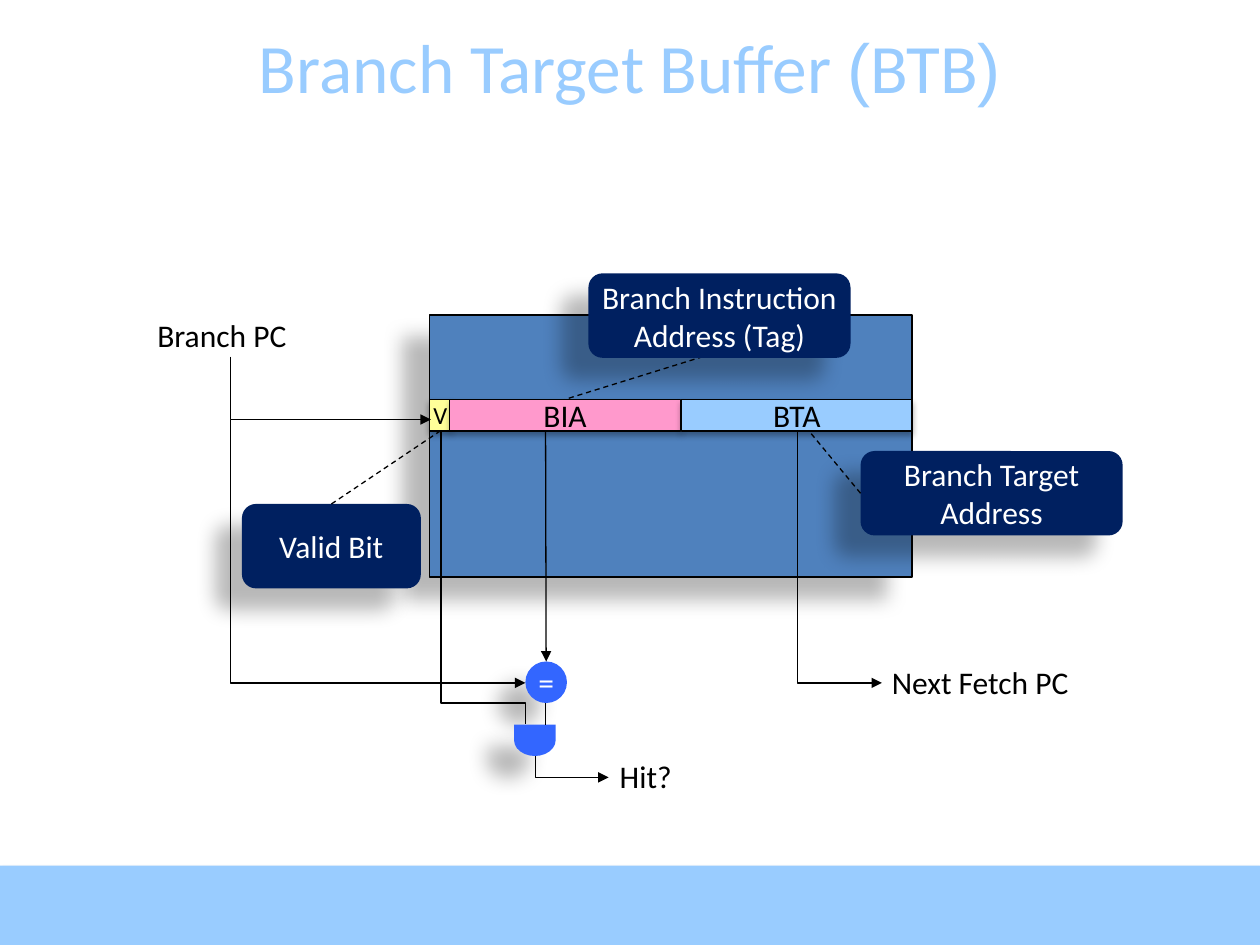
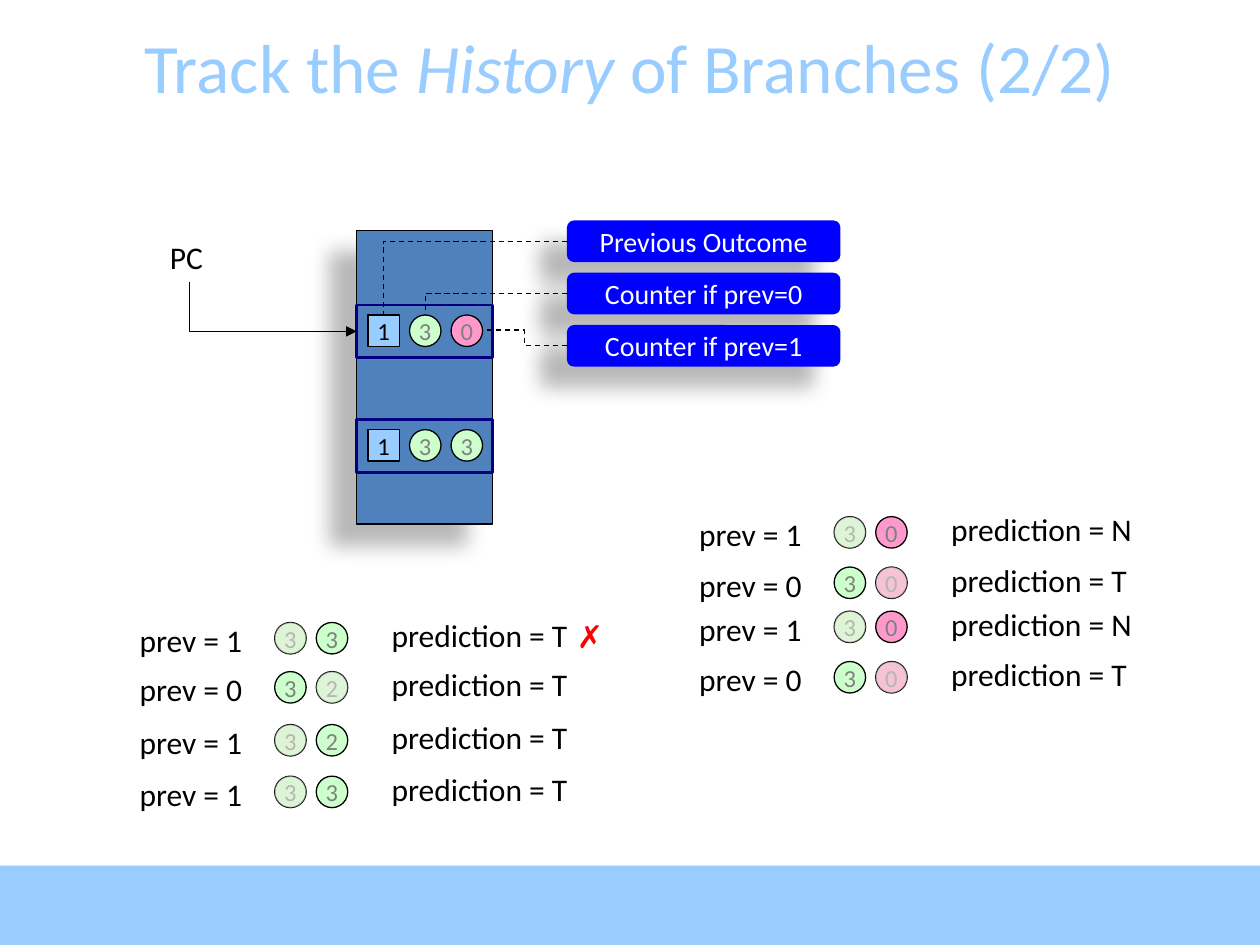
import pptx
import pptx.dml.color
import pptx.enum.dml
import pptx.enum.shapes
import pptx.enum.text
import pptx.oxml
import pptx.oxml.ns
import pptx.util

Inches = pptx.util.Inches
Pt = pptx.util.Pt
RGBColor = pptx.dml.color.RGBColor
SHAPE = pptx.enum.shapes.MSO_SHAPE
CONNECTOR = pptx.enum.shapes.MSO_CONNECTOR
ALIGN = pptx.enum.text.PP_ALIGN
ANCHOR = pptx.enum.text.MSO_ANCHOR
qn = pptx.oxml.ns.qn

BLACK = RGBColor(0x00, 0x00, 0x00)
WHITE = RGBColor(0xFF, 0xFF, 0xFF)
GRAY = RGBColor(0x80, 0x80, 0x80)
RED = RGBColor(0xFF, 0x00, 0x00)
SKY = RGBColor(0x99, 0xCC, 0xFF)
STEEL = RGBColor(0x4F, 0x81, 0xBD)
YELLOW = RGBColor(0xFF, 0xFF, 0x99)
PINK = RGBColor(0xFF, 0x99, 0xCC)
GREEN = RGBColor(0xCC, 0xFF, 0xCC)
NAVY = RGBColor(0x00, 0x20, 0x60)
FRAME_BLUE = RGBColor(0x00, 0x00, 0x80)
LABEL_BLUE = RGBColor(0x00, 0x00, 0xFF)
GATE_BLUE = RGBColor(0x33, 0x66, 0xFF)
VEIL = RGBColor(0xEE, 0xEC, 0xE1)

FONT = "Calibri"
DEEP_SHADOW = (28, 11.8, 19.7, 141)
FIELD_SHADOW = (32, 3.5, 2.2, 90)
BAND_SHADOW = (35, 3.1, 1.8, 90)
TOP, LEFT, BOTTOM = 0, 1, 2


def add_xml(parent, xml):
    ns = pptx.oxml.ns.nsdecls("a")
    tag, rest = xml.split(" ", 1) if " " in xml else (xml, "/>")
    parent.append(pptx.oxml.parse_xml(f"{tag} {ns} {rest}"))


def add_shadow(sp, shadow):
    alpha, blur, dist, angle = shadow
    effects = sp._element.spPr.find(qn("a:effectLst"))
    add_xml(effects, f'<a:outerShdw blurRad="{Pt(blur)}" dist="{Pt(dist)}" '
                     f'dir="{angle * 60000}" rotWithShape="0"><a:srgbClr val="000000">'
                     f'<a:alpha val="{alpha * 1000}"/></a:srgbClr></a:outerShdw>')


def format_run(r, size, color, name=FONT):
    r.font.size = Pt(size)
    r.font.name = name
    r.font.color.rgb = color


def write(sp, text, size, color, align):
    tf = sp.text_frame
    tf.text = text
    tf.word_wrap = False
    for p in tf.paragraphs:
        p.alignment = align
        for r in p.runs:
            format_run(r, size, color)


def add_box(s, kind, x, y, w, h, fill=None, line=BLACK, weight=0.75, shadow=None,
            text="", size=18, color=BLACK):
    sp = s.shapes.add_shape(kind, Inches(x), Inches(y), Inches(w), Inches(h))
    sp.shadow.inherit = False
    if fill is None:
        sp.fill.background()
    else:
        sp.fill.solid()
        sp.fill.fore_color.rgb = fill
    if line is None:
        sp.line.fill.background()
    else:
        sp.line.color.rgb = line
        sp.line.width = Pt(weight)
    if shadow:
        add_shadow(sp, shadow)
    if text:
        write(sp, text, size, color, ALIGN.CENTER)
        sp.text_frame.vertical_anchor = ANCHOR.MIDDLE
    return sp


def add_label(s, text, x, y, w, color=BLACK):
    sp = s.shapes.add_textbox(Inches(x), Inches(y), Inches(w), Inches(0.4))
    write(sp, text, 18, color, ALIGN.LEFT)
    sp.text_frame.auto_size = pptx.enum.text.MSO_AUTO_SIZE.SHAPE_TO_FIT_TEXT
    return sp


def add_callout(s, text, x, y, w, h, fill=NAVY, size=18):
    return add_box(s, SHAPE.ROUNDED_RECTANGLE, x, y, w, h, fill, None,
                   shadow=DEEP_SHADOW, text=text, size=size, color=WHITE)


def style_line(sp, dashed=False, head=False, tail=False):
    sp.line.color.rgb = BLACK
    sp.line.width = Pt(0.75)
    if dashed:
        sp.line.dash_style = pptx.enum.dml.MSO_LINE.DASH
    ln = sp.line._get_or_add_ln()
    if head:
        add_xml(ln, '<a:headEnd type="triangle"/>')
    if tail:
        add_xml(ln, '<a:tailEnd type="triangle"/>')


def add_line(s, start, end, begin_at=None, end_at=None, kind=CONNECTOR.STRAIGHT,
             corner=False, **style):
    c = s.shapes.add_connector(kind, *map(Inches, start + end))
    if begin_at:
        c.begin_connect(*begin_at)
    if end_at:
        c.end_connect(*end_at)
    if corner:
        c._element.spPr.find(qn("a:prstGeom")).set("prst", "bentConnector2")
    style_line(c, **style)
    add_xml(c._element.spPr, "<a:effectLst />")
    return c


def add_wire(s, points, tail=True):
    start, *rest = [(Inches(x), Inches(y)) for x, y in points]
    builder = s.shapes.build_freeform(*start)
    builder.add_line_segments(rest, close=False)
    sp = builder.convert_to_shape()
    sp.shadow.inherit = False
    sp.fill.background()
    style_line(sp, tail=tail)


def add_slide(prs, title_runs):
    s = prs.slides.add_slide(prs.slide_layouts[6])
    add_box(s, SHAPE.RECTANGLE, 0, 6.87, 10, 0.63, SKY, None, shadow=BAND_SHADOW)
    title = s.shapes.add_textbox(0, Inches(0.21), Inches(10), Inches(0.63))
    tf = title.text_frame
    tf.word_wrap = True
    tf.vertical_anchor = ANCHOR.MIDDLE
    p = tf.paragraphs[0]
    p.alignment = ALIGN.CENTER
    for text, name, italic in title_runs:
        r = p.add_run()
        r.text = text
        format_run(r, 39.6, SKY, name)
        r.font.italic = italic
    return s


def add_field(s, text, x, w, fill, size=18):
    return add_box(s, SHAPE.RECTANGLE, x, 3.17, w, 0.25, fill,
                   shadow=FIELD_SHADOW, text=text, size=size)


def add_counter(s, value, x, y):
    return add_box(s, SHAPE.OVAL, x, y, 0.25, 0.25, GREEN if value else PINK,
                   text=str(value), size=14, color=GRAY)


def add_veil(s, x, y):
    sp = add_box(s, SHAPE.OVAL, x, y, 0.25, 0.25, VEIL, None)
    color = sp._element.spPr.find(qn("a:solidFill"))[0]
    add_xml(color, '<a:alpha val="50000"/>')


def add_entry(s, y, counters):
    frame = add_box(s, SHAPE.RECTANGLE, 2.83, y, 1.08, 0.42, line=FRAME_BLUE, weight=1.5)
    bit = add_box(s, SHAPE.RECTANGLE, 2.92, y + 0.08, 0.25, 0.25, SKY, text="1", size=14)
    circles = [add_counter(s, value, 3.25 + 0.33 * i, y + 0.08)
               for i, value in enumerate(counters)]
    return frame, bit, circles


def add_prediction(s, x, y, prev, counters, outcome):
    add_label(s, f"prev = {prev}", x, y, 1.06)
    for i, value in enumerate(counters):
        counter_x = x + 1.17 + 0.33 * i
        add_counter(s, value, counter_x, y + 0.06)
        if i != prev:
            add_veil(s, counter_x, y + 0.06)
    add_label(s, f"prediction = {outcome}", x + 2, y - 0.04, 1.73 if outcome == "N" else 1.65)


def build_target_buffer(prs):
    s = add_slide(prs, [("Branch Target Buffer ", FONT, False), ("(", "Arial", False),
                        ("BTB", FONT, False), (")", "Arial", False)])
    add_box(s, SHAPE.RECTANGLE, 3.41, 2.5, 3.83, 2.08, STEEL, shadow=DEEP_SHADOW)
    valid = add_field(s, "V", 3.41, 0.17, YELLOW, 14)
    valid.text_frame.margin_left = valid.text_frame.margin_right = 0
    bia = add_field(s, "BIA", 3.57, 1.83, PINK)
    add_field(s, "BTA", 5.41, 1.83, SKY)

    add_label(s, "Branch PC", 1.15, 2.46, 1.29)
    add_wire(s, [(1.83, 2.83), (1.83, 3.33), (3.42, 3.33)])
    target = add_callout(s, "Branch Target\nAddress", 6.83, 3.58, 2.08, 0.67)
    add_line(s, (6.83, 3.92), (6.42, 3.42), begin_at=(target, LEFT), dashed=True)
    comparator = add_box(s, SHAPE.OVAL, 4.17, 5.25, 0.33, 0.33, GATE_BLUE, None,
                         shadow=DEEP_SHADOW, text="=", color=WHITE)
    add_line(s, (4.33, 3.42), (4.33, 5.25), end_at=(comparator, TOP), tail=True)
    add_wire(s, [(1.83, 3.33), (1.83, 5.42), (4.17, 5.42)])
    valid_note = add_callout(s, "Valid Bit", 1.92, 4, 1.42, 0.67)
    add_line(s, (2.62, 4), (3.5, 3.42), (valid_note, TOP), (valid, BOTTOM), dashed=True)

    and_gate = add_box(s, SHAPE.FLOWCHART_DELAY, 4.12, 5.71, 0.25, 0.33, GATE_BLUE, None,
                       shadow=DEEP_SHADOW)
    and_gate.rotation = 90
    add_line(s, (4.33, 5.58), (4.33, 5.75))
    add_wire(s, [(3.5, 3.42), (3.5, 5.58), (4.17, 5.58), (4.17, 5.75)], tail=False)
    add_wire(s, [(4.25, 6), (4.25, 6.17), (4.83, 6.17)])
    add_label(s, "Hit?", 4.82, 5.96, 0.61)
    add_wire(s, [(6.33, 3.42), (6.33, 5.42), (7, 5.42)])
    add_line(s, (5.58, 2.83), (4.5, 3.17), end_at=(bia, TOP), dashed=True)
    add_callout(s, "Branch Instruction\nAddress (Tag)", 4.67, 2.17, 2.08, 0.67)
    add_label(s, "Next Fetch PC", 6.98, 5.21, 1.73)


def build_history(prs):
    s = add_slide(prs, [("Track the ", FONT, False), ("History", FONT, True),
                        (" of Branches (2/2)", FONT, False)])
    pc = add_label(s, "PC", 1.25, 1.84, 0.51)
    add_box(s, SHAPE.RECTANGLE, 2.83, 1.83, 1.08, 2.33, STEEL, shadow=DEEP_SHADOW)
    names = ["Previous Outcome", "Counter if prev=0", "Counter if prev=1"]
    outcome, counter0, counter1 = [
        add_callout(s, name, 4.5, 1.75 + i * 0.415, 2.17, 0.33, LABEL_BLUE, 16)
        for i, name in enumerate(names)]
    frame, bit, circles = add_entry(s, 2.42, [3, 0])
    add_entry(s, 3.33, [3, 3])

    elbow = CONNECTOR.ELBOW
    add_line(s, (2.83, 2.62), (1.5, 2.24), (frame, LEFT), (pc, BOTTOM),
             elbow, corner=True, head=True)
    add_line(s, (4.5, 1.92), (3.04, 2.5), (outcome, LEFT), (bit, TOP),
             elbow, corner=True, dashed=True)
    add_line(s, (4.5, 2.33), (3.38, 2.5), (counter0, LEFT), (circles[0], TOP),
             elbow, corner=True, dashed=True)
    add_line(s, (4.5, 2.75), (3.83, 2.62), (counter1, LEFT), kind=elbow, dashed=True)

    for y, prev, prediction in [(4.04, 1, "N"), (4.44, 0, "T"), (4.79, 1, "N"), (5.19, 0, "T")]:
        add_prediction(s, 5.45, y, prev, [3, 0], prediction)
    for y, prev, counter in [(4.88, 1, 3), (5.27, 0, 2), (5.69, 1, 2), (6.1, 1, 3)]:
        add_prediction(s, 1.01, y, prev, [3, counter], "T")
    cross = add_label(s, "✗", 4.48, 4.85, 0.36, RED)
    cross.text_frame.paragraphs[0].runs[0].font.bold = True


def main():
    prs = pptx.Presentation()
    prs.slide_width = Inches(10)
    prs.slide_height = Inches(7.5)
    build_target_buffer(prs)
    build_history(prs)
    prs.save("out.pptx")


if __name__ == "__main__":
    main()
